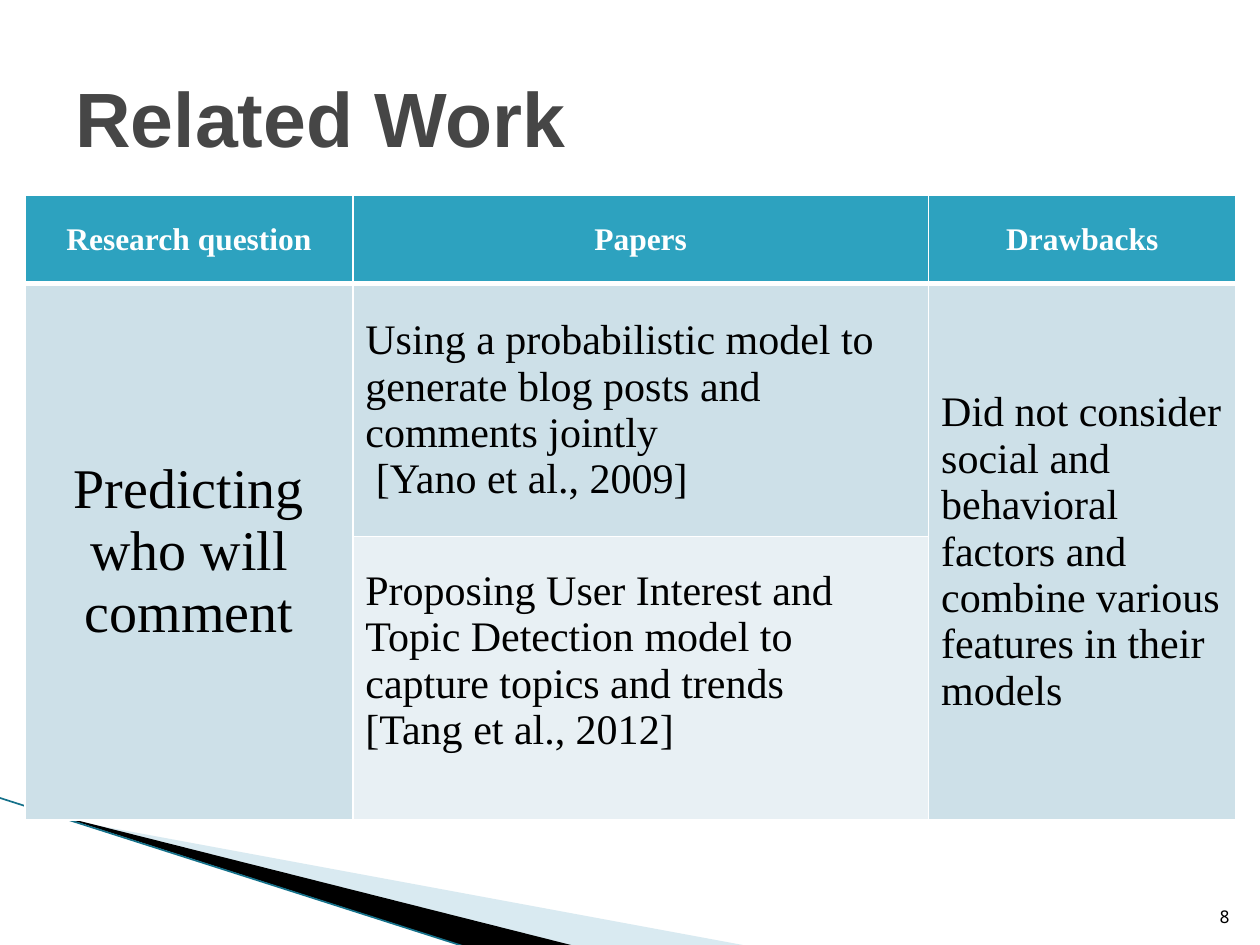
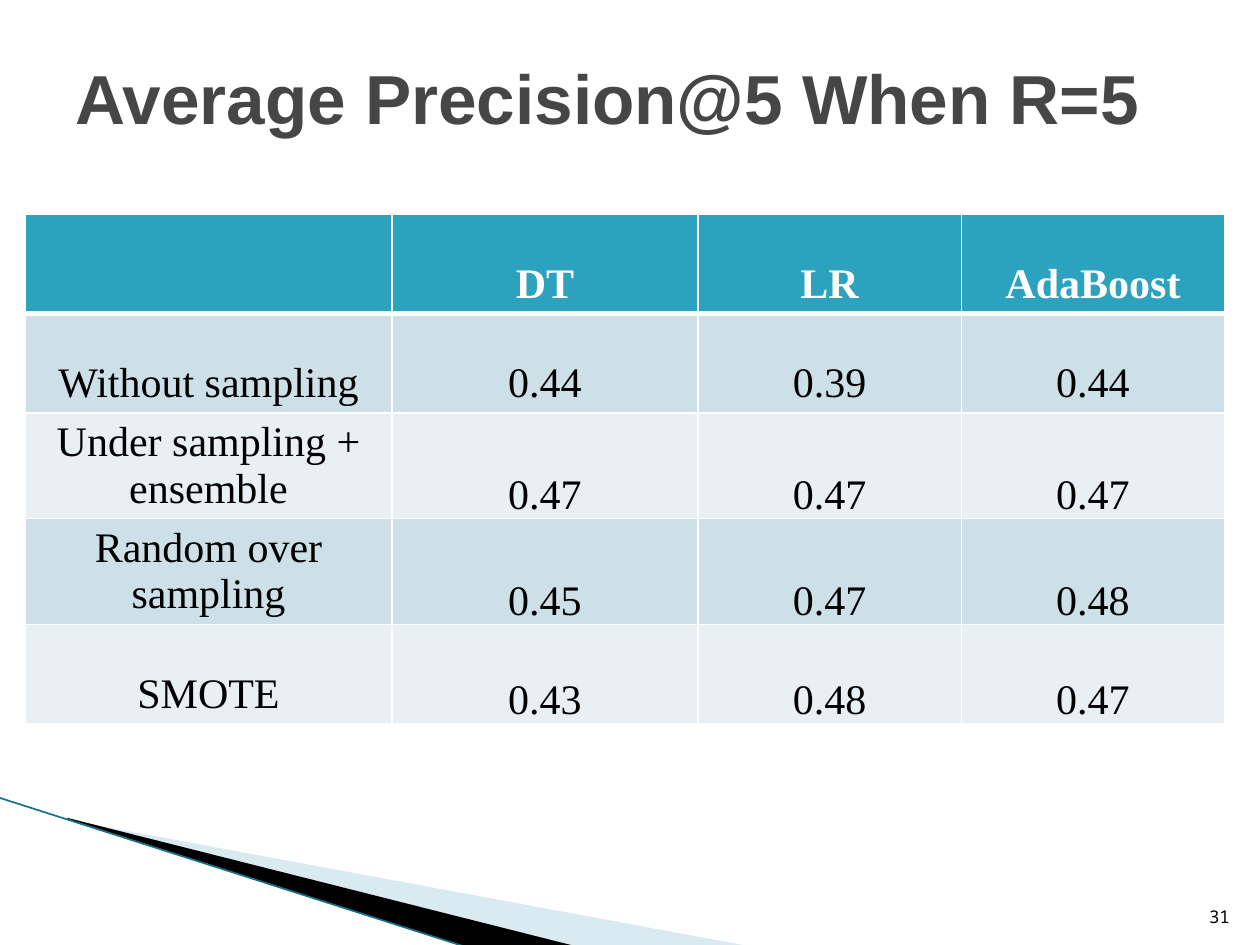
from dataclasses import dataclass

from lxml import etree
from pptx import Presentation
from pptx.dml.color import RGBColor
from pptx.enum.shapes import MSO_CONNECTOR
from pptx.enum.text import MSO_ANCHOR, PP_ALIGN
from pptx.oxml.ns import qn
from pptx.util import Inches, Pt

LEFT, MID, RIGHT = PP_ALIGN.LEFT, PP_ALIGN.CENTER, PP_ALIGN.RIGHT
CENTER, LOW = MSO_ANCHOR.MIDDLE, MSO_ANCHOR.BOTTOM
STRAIGHT = MSO_CONNECTOR.STRAIGHT


@dataclass(frozen=True)
class Theme:
    white: str = "FFFFFF"
    black: str = "000000"
    title: str = "464646"
    head: str = "2DA2BF"
    bands: tuple = ("CDE0E8", "E8F0F4")
    wedge: str = "A0CBDC"
    rule: str = "15718A"
    sans: str = "Arial"
    serif: str = "Times New Roman"
    mono: str = "Noto Sans Mono"
    big: float = 32
    body: float = 24
    label: float = 18
    page: float = 10
    thin: float = 1
    thick: float = 3


@dataclass(frozen=True)
class Cell:
    text: str
    size: float = 24
    align: PP_ALIGN = MID
    span: int = 1
    top: float = 0.05
    low: float = 0.05
    side: float = 0.1


@dataclass(frozen=True)
class Grid:
    left: float
    top: float
    cols: tuple
    rows: tuple
    anchor: MSO_ANCHOR
    cells: list


@dataclass(frozen=True)
class Wedge:
    points: tuple
    fill: str
    alpha: int = 100


THEME = Theme()
WEDGES = (
    Wedge(((0.55, 6.51), (5.95, 7.51), (4.56, 7.51), (0.55, 6.5)), THEME.wedge, 40),
    Wedge(((0.53, 6.49), (4.57, 7.51), (3.72, 7.52), (0.54, 6.5)), THEME.black),
)


def rgb(code: str) -> RGBColor:
    return RGBColor.from_string(code)


def write(frame, text: str, *, size: float, font: str, color: str = THEME.black,
          bold: bool = False, align: PP_ALIGN = LEFT) -> None:
    """Fill a text frame, one paragraph for each line of text."""
    frame.word_wrap = True
    frame.text = text
    for para in frame.paragraphs:
        para.alignment = align
        for run in para.runs:
            run.font.size, run.font.name, run.font.bold = Pt(size), font, bold
            run.font.color.rgb = rgb(color)


def add_text(slide, text: str, left: float, top: float, width: float,
             height: float, anchor: MSO_ANCHOR, **style) -> None:
    box = slide.shapes.add_textbox(*map(Inches, (left, top, width, height)))
    box.text_frame.vertical_anchor = anchor
    write(box.text_frame, text, **style)


def add_wedge(slide, wedge: Wedge) -> None:
    start, *rest = [tuple(map(Inches, point)) for point in wedge.points]
    path = slide.shapes.build_freeform(*start)
    path.add_line_segments(rest, close=True)
    shape = path.convert_to_shape()
    shape.shadow.inherit = False
    shape.line.fill.background()
    shape.fill.solid()
    shape.fill.fore_color.rgb = rgb(wedge.fill)
    if wedge.alpha < 100:
        tone = shape.fill._xPr.find(".//" + qn("a:srgbClr"))
        etree.SubElement(tone, qn("a:alpha"), val=str(wedge.alpha * 1000))


def add_rule(slide) -> None:
    ends = map(Inches, (-0.01, 6.33, 3.71, 7.52))
    rule = slide.shapes.add_connector(STRAIGHT, *ends)
    rule.line.color.rgb = rgb(THEME.rule)
    rule.line.width = Pt(0.95)
    etree.SubElement(rule._element.spPr, qn("a:effectLst"))


def edge(cell, row: int) -> None:
    """Draw white cell borders, with a thick one under the header row."""
    props = cell._tc.get_or_add_tcPr()
    heavy = {0: "B", 1: "T"}.get(row)
    for place, side in enumerate("LRTB"):
        width = THEME.thick if side == heavy else THEME.thin
        line = etree.Element(qn(f"a:ln{side}"), w=str(Pt(width)))
        fill = etree.SubElement(line, qn("a:solidFill"))
        etree.SubElement(fill, qn("a:srgbClr"), val=THEME.white)
        props.insert(place, line)


def add_grid(slide, grid: Grid) -> None:
    frame = slide.shapes.add_table(
        len(grid.rows), len(grid.cols), Inches(grid.left), Inches(grid.top),
        Inches(sum(grid.cols)), Inches(sum(grid.rows)))
    table = frame.table
    for col, width in zip(table.columns, grid.cols):
        col.width = Inches(width)
    for row, height in zip(table.rows, grid.rows):
        row.height = Inches(height)
    for r, line in enumerate(grid.cells):
        for c, item in enumerate(line):
            cell = table.cell(r, c)
            cell.fill.solid()
            cell.fill.fore_color.rgb = rgb(THEME.bands[(r - 1) % 2] if r else THEME.head)
            edge(cell, r)
            if item is None:
                continue
            cell.vertical_anchor = grid.anchor
            cell.margin_left = cell.margin_right = Inches(item.side)
            cell.margin_top, cell.margin_bottom = Inches(item.top), Inches(item.low)
            if item.text:
                write(cell.text_frame, item.text, size=item.size, font=THEME.serif,
                      color=THEME.black if r else THEME.white,
                      bold=r == 0, align=item.align)
            if item.span > 1:
                cell.merge(table.cell(r + item.span - 1, c))


def add_page(deck, title: str, size: float, height: float, number: int,
             grid: Grid) -> None:
    slide = deck.slides.add_slide(deck.slide_layouts[6])
    for wedge in WEDGES:
        add_wedge(slide, wedge)
    add_rule(slide)
    add_grid(slide, grid)
    add_text(slide, str(number), 9.46, 7.01, 0.4, 0.4, LOW,
             size=THEME.page, font=THEME.mono, align=RIGHT)
    add_text(slide, title, 0.5, 0.3, 9, height, CENTER,
             size=size, font=THEME.sans, color=THEME.title, bold=True)


def related() -> Grid:
    heads = [Cell(text, THEME.label)
             for text in ("Research question", "Papers", "Drawbacks")]
    yano = ("Using a probabilistic model to generate blog posts and comments jointly\n"
            " [Yano et al., 2009]")
    tang = ("Proposing User Interest and Topic Detection model to capture topics "
            "and trends\n[Tang et al., 2012]")
    flaw = ("Did not consider social and behavioral factors and combine various "
            "features in their models")
    cells = [
        heads,
        [Cell("Predicting who will comment", THEME.big, span=2),
         Cell(yano, align=LEFT), Cell(flaw, align=LEFT, span=2)],
        [None, Cell(tang, align=LEFT, low=0.33), None],
    ]
    return Grid(0.2, 1.55, (2.6, 4.57, 2.44), (0.7, 2.01, 2.25), CENTER, cells)


def scores() -> Grid:
    data = (
        ("Without sampling", "0.44", "0.39", "0.44"),
        ("Under sampling + ensemble", "0.47", "0.47", "0.47"),
        ("Random over sampling", "0.45", "0.47", "0.48"),
        ("SMOTE", "0.43", "0.48", "0.47"),
    )
    cells = [[Cell(text) for text in ("", "DT", "LR", "AdaBoost")]]
    for place, (name, *values) in enumerate(data):
        inset = {"top": 0, "low": 0, "side": 0.07} if place else {}
        cells.append([Cell(name)] + [Cell(value, **inset) for value in values])
    return Grid(0.2, 1.7, (2.91, 2.43, 2.09, 2.09), (0.79,) * 5, LOW, cells)


def main() -> None:
    deck = Presentation()
    deck.slide_width, deck.slide_height = Inches(10), Inches(7.5)
    add_page(deck, "Related Work", 44, 1.25, 8, related())
    add_page(deck, "Average Precision@5 When R=5", 39.6, 0.93, 31, scores())
    deck.save("out.pptx")


if __name__ == "__main__":
    main()
